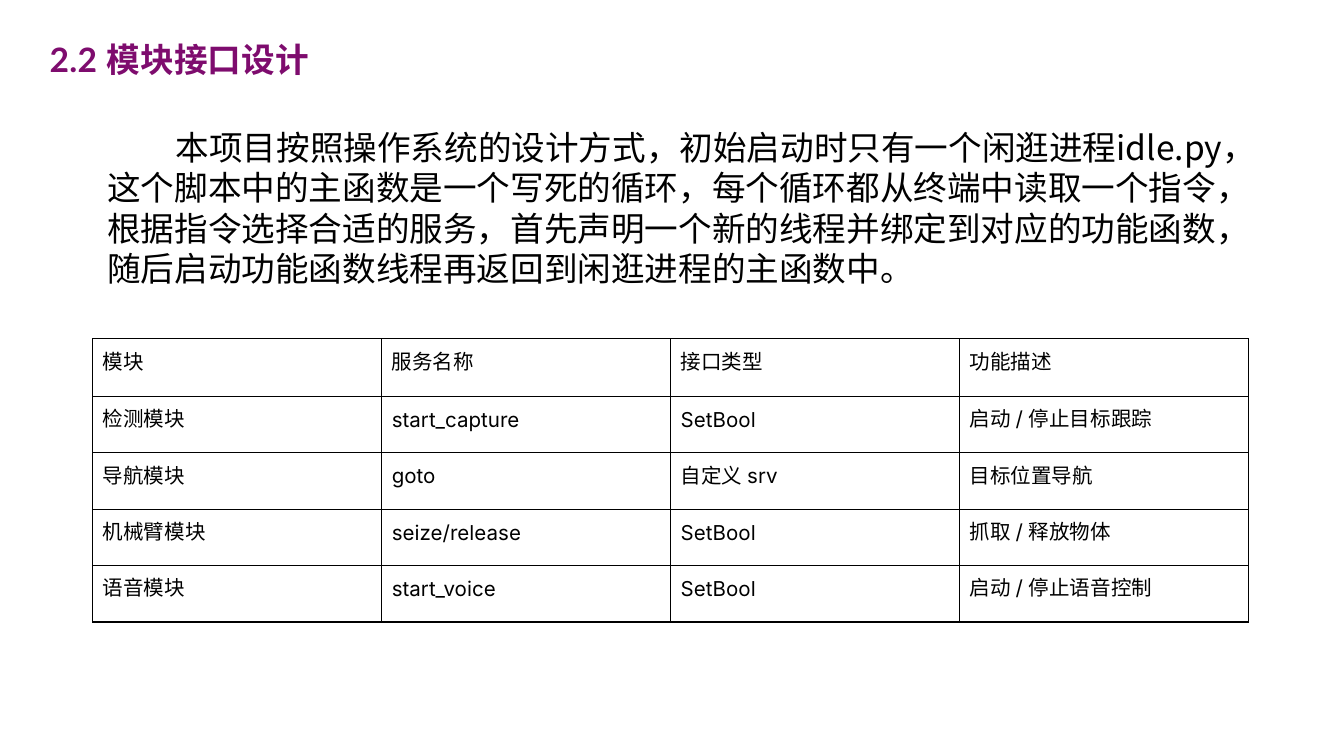
from lxml import etree
from pptx import Presentation, util as u
from pptx.dml.color import RGBColor
from pptx.enum import text
from pptx.oxml.ns import qn

TITLE = "2.2 模块接口设计"
BODY = ("本项目按照操作系统的设计方式，初始启动时只有一个闲逛进程idle.py，"
        "这个脚本中的主函数是一个写死的循环，每个循环都从终端中读取一个指令，"
        "根据指令选择合适的服务，首先声明一个新的线程并绑定到对应的功能函数，"
        "随后启动功能函数线程再返回到闲逛进程的主函数中。")
ROWS = [
    ("模块", "服务名称", "接口类型", "功能描述"),
    ("检测模块", "start_capture", "SetBool", "启动 / 停止目标跟踪"),
    ("导航模块", "goto", "自定义 srv", "目标位置导航"),
    ("机械臂模块", "seize/release", "SetBool", "抓取 / 释放物体"),
    ("语音模块", "start_voice", "SetBool", "启动 / 停止语音控制"),
]
CJK = "Noto Sans CJK SC"
PURPLE, BLACK = "7E0C6E", "000000"
HEADER_H, ROW_H = 0.43, 0.42


def rgb(value):
    return RGBColor.from_string(value)


def write(tf, content, size, font, color, bold=False):
    tf.text = content
    p = tf.paragraphs[0]
    r = p.runs[0]
    r.font.size, r.font.name, r.font.bold = u.Pt(size), font, bold
    r.font.color.rgb = rgb(color)
    etree.SubElement(r.font._element, qn("a:ea")).set("typeface", CJK)
    return p


def add_text(s, box, *style, **kw):
    tf = s.shapes.add_textbox(*map(u.Inches, box)).text_frame
    tf.word_wrap = True
    tf.auto_size = text.MSO_AUTO_SIZE.SHAPE_TO_FIT_TEXT
    return write(tf, *style, **kw)


def add_borders(cell, color, width):
    pr = cell._tc.get_or_add_tcPr()
    for i, side in enumerate(("lnL", "lnR", "lnT", "lnB")):
        ln = etree.Element(qn("a:" + side), w=str(u.Pt(width)))
        fill = etree.SubElement(ln, qn("a:solidFill"))
        etree.SubElement(fill, qn("a:srgbClr"), val=color)
        pr.insert(i, ln)


prs = Presentation()
prs.slide_width = u.Inches(10)
prs.slide_height = prs.slide_width * 9 // 16
s = prs.slides.add_slide(prs.slide_layouts[6])

# Title
p = add_text(s, (0.27, 0.24, 3.18, 0.71), TITLE, 18, "Lato", PURPLE, bold=True)
p.runs[0].font._element.set("spc", "20")

# Introduction with an indented first line
p = add_text(s, (0.7, 0.89, 8.87, 1.31), BODY, 18, CJK, BLACK)
p.line_spacing = u.Pt(21.7)
p._p.get_or_add_pPr().set("indent", str(u.Inches(0.51)))

# Interface table
box = (0.69, 2.52, 8.6, HEADER_H + ROW_H * (len(ROWS) - 1))
table = s.shapes.add_table(len(ROWS), len(ROWS[0]), *map(u.Inches, box)).table
table.first_row = table.horz_banding = False
for i, row in enumerate(ROWS):
    table.rows[i].height = u.Inches(ROW_H if i else HEADER_H)
    for j, content in enumerate(row):
        cell = table.cell(i, j)
        p = write(cell.text_frame, content, 11, "Inter", BLACK)
        p.line_spacing = u.Pt(8.4)
        cell.vertical_anchor = text.MSO_ANCHOR.MIDDLE
        cell.margin_left = cell.margin_right = u.Pt(5.4)
        cell.margin_top = cell.margin_bottom = u.Inches(0.05)
        cell.fill.background()
        add_borders(cell, BLACK, 0.75)

prs.save("out.pptx")
